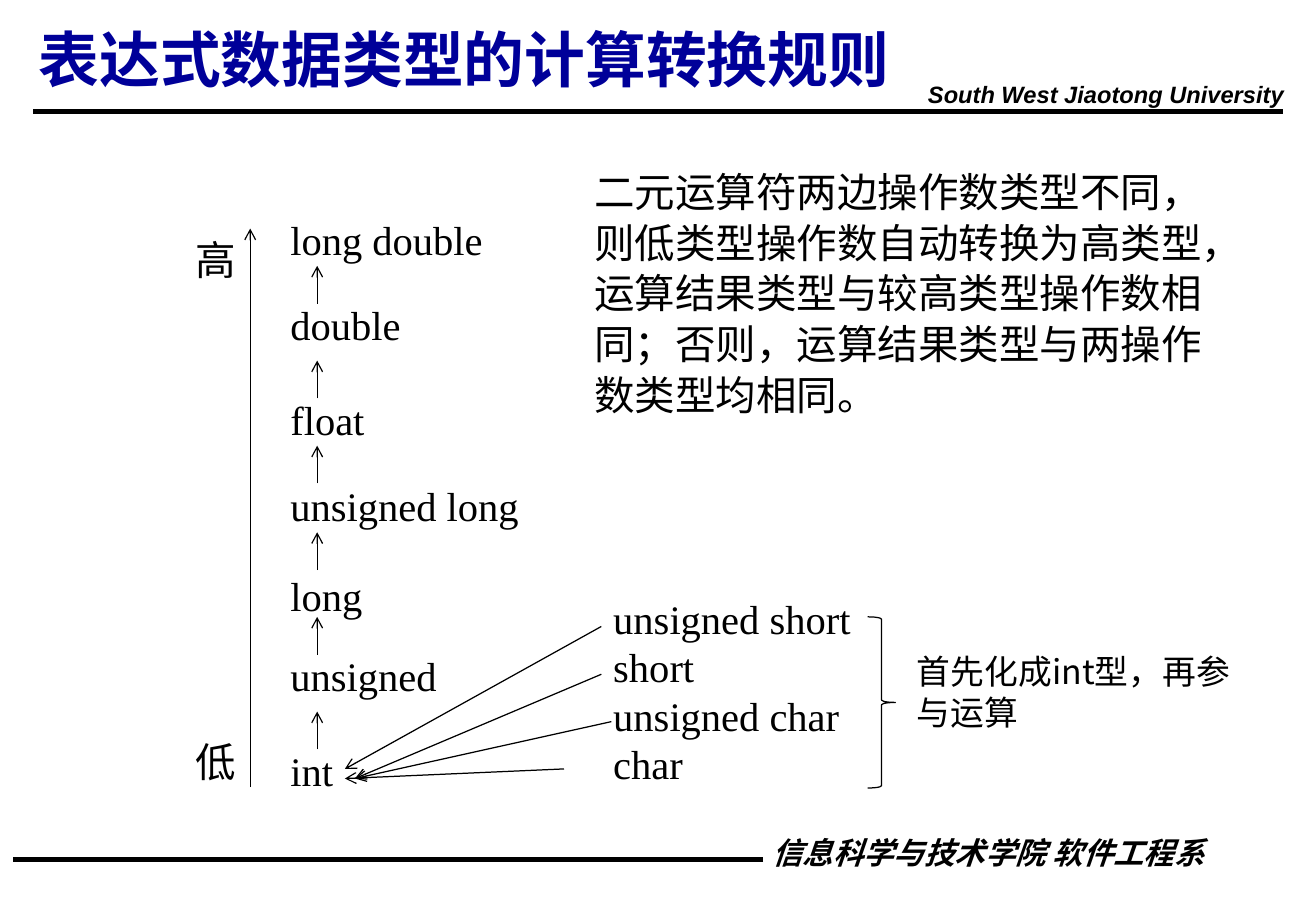
import pptx
import pptx.dml.color
import pptx.enum.shapes
import pptx.enum.text
import pptx.oxml
import pptx.oxml.ns
import pptx.util
from pptx.util import Cm

COLOURS = {"ink": "000000", "title": "000099"}
SERIF, SANS, CJK = "Times New Roman", "Arial", "Noto Sans CJK SC"

# name, top of its label in cm
TYPES = [
    ("long double", 4.37), ("double", 6.15), ("float", 8.13),
    ("unsigned long", 9.93), ("long", 11.81), ("unsigned", 13.49), ("int", 15.47),
]
STEP_TOPS = [5.56, 7.54, 9.32, 11.13, 12.9, 14.88]
STEP_X, STEP_LENGTH = 6.63, 0.79
SMALL_TYPES = ["unsigned short", "short", "unsigned char", "char"]
# start and end of each arrow from a small type to int
PROMOTIONS = [
    ((12.57, 13.1), (7.21, 16.08)), ((12.57, 14.1), (7.42, 16.28)),
    ((12.78, 15.09), (7.42, 16.28)), ((11.79, 16.08), (7.21, 16.28)),
]


def colour(name):
    return pptx.dml.color.RGBColor.from_string(COLOURS[name])


def set_all(target, values):
    for name, value in values.items():
        setattr(target, name, value)


def add_text(page, lines, left, top, width, height, size=24, face=SERIF,
             ink="ink", wrap=True, font=None, layout=None):
    """Add a text box with one paragraph per line; font and layout hold extra formats."""
    frame = page.shapes.add_textbox(Cm(left), Cm(top), Cm(width), Cm(height)).text_frame
    frame.word_wrap = wrap
    for index, line in enumerate(lines):
        para = frame.add_paragraph() if index else frame.paragraphs[0]
        set_all(para, layout or {})
        span = para.add_run()
        span.text = line
        set_all(span.font, {"name": face, "size": pptx.util.Pt(size), **(font or {})})
        span.font.color.rgb = colour(ink)
        east_asian = pptx.oxml.parse_xml(
            f'<a:ea {pptx.oxml.ns.nsdecls("a")} typeface="{CJK}"/>')
        span.font._element.find(pptx.oxml.ns.qn("a:latin")).addnext(east_asian)


def add_line(page, start, end, weight=0.75, arrow=False):
    line = page.shapes.add_connector(
        pptx.enum.shapes.MSO_CONNECTOR.STRAIGHT, *map(Cm, start + end))
    line.line.color.rgb = colour("ink")
    line.line.width = pptx.util.Pt(weight)
    namespace = pptx.oxml.ns.nsdecls("a")
    if arrow:
        line.line._get_or_add_ln().append(
            pptx.oxml.parse_xml(f'<a:tailEnd {namespace} type="arrow"/>'))
    line._element.spPr.append(pptx.oxml.parse_xml(f"<a:effectLst {namespace}/>"))


def add_brace(page, left, top, width, height):
    brace = page.shapes.add_shape(
        pptx.enum.shapes.MSO_SHAPE.RIGHT_BRACE, *map(Cm, (left, top, width, height)))
    brace.shadow.inherit = False
    brace.fill.background()
    brace.line.color.rgb = colour("ink")
    brace.line.width = pptx.util.Pt(0.75)


def add_header_and_footer(page):
    slanted = {"bold": True, "italic": True}
    add_line(page, (26.82, 2.34), (0.69, 2.34), weight=3)
    add_text(page, ["South West Jiaotong University"], 19.15, 1.7, 7.98, 0.69, 14, SANS,
             wrap=False, font=slanted, layout={"line_spacing": 0.7})
    add_line(page, (15.95, 17.98), (0.28, 17.98), weight=3)
    add_text(page, ["信息科学与技术学院 软件工程系"], 13.36, 17.53, 12.07, 0.79, 18, CJK,
             font=slanted,
             layout={"line_spacing": 0.7, "alignment": pptx.enum.text.PP_ALIGN.RIGHT})
    add_text(page, ["表达式数据类型的计算转换规则"], 0.56, 0.33, 23.39, 2.01, 36,
             ink="title", font={"bold": True})


def add_type_ladder(page):
    for name, top in TYPES:
        add_text(page, [name], 5.82, top, 5.77, 1.3)
    for top in STEP_TOPS:
        add_line(page, (STEP_X, top + STEP_LENGTH), (STEP_X, top), arrow=True)
    add_line(page, (5.23, 16.46), (5.23, 4.78), arrow=True)
    for label, top in (("高", 4.78), ("低", 15.29)):
        add_text(page, [label], 3.84, top, 1.78, 1.3)


def add_promotions(page):
    add_text(page, SMALL_TYPES, 12.57, 12.29, 5.77, 4.37)
    for start, end in PROMOTIONS:
        add_line(page, start, end, arrow=True)
    add_brace(page, 18.14, 12.9, 0.58, 3.58)
    add_text(page, ["首先化成int型，再参与运算"], 18.92, 13.49, 7.06, 1.96, 20, CJK)


def main():
    deck = pptx.Presentation()
    set_all(deck, {"slide_width": Cm(27.51), "slide_height": Cm(19.05)})
    page = deck.slides.add_slide(deck.slide_layouts[6])
    add_header_and_footer(page)
    add_type_ladder(page)
    add_promotions(page)
    rule = ("二元运算符两边操作数类型不同，则低类型操作数自动转换为高类型，"
            "运算结果类型与较高类型操作数相同；否则，运算结果类型与两操作数类型均相同。")
    add_text(page, [rule], 12.17, 3.33, 13.79, 5.59, face=CJK,
             layout={"line_spacing": pptx.util.Pt(30)})
    deck.save("out.pptx")


if __name__ == "__main__":
    main()
